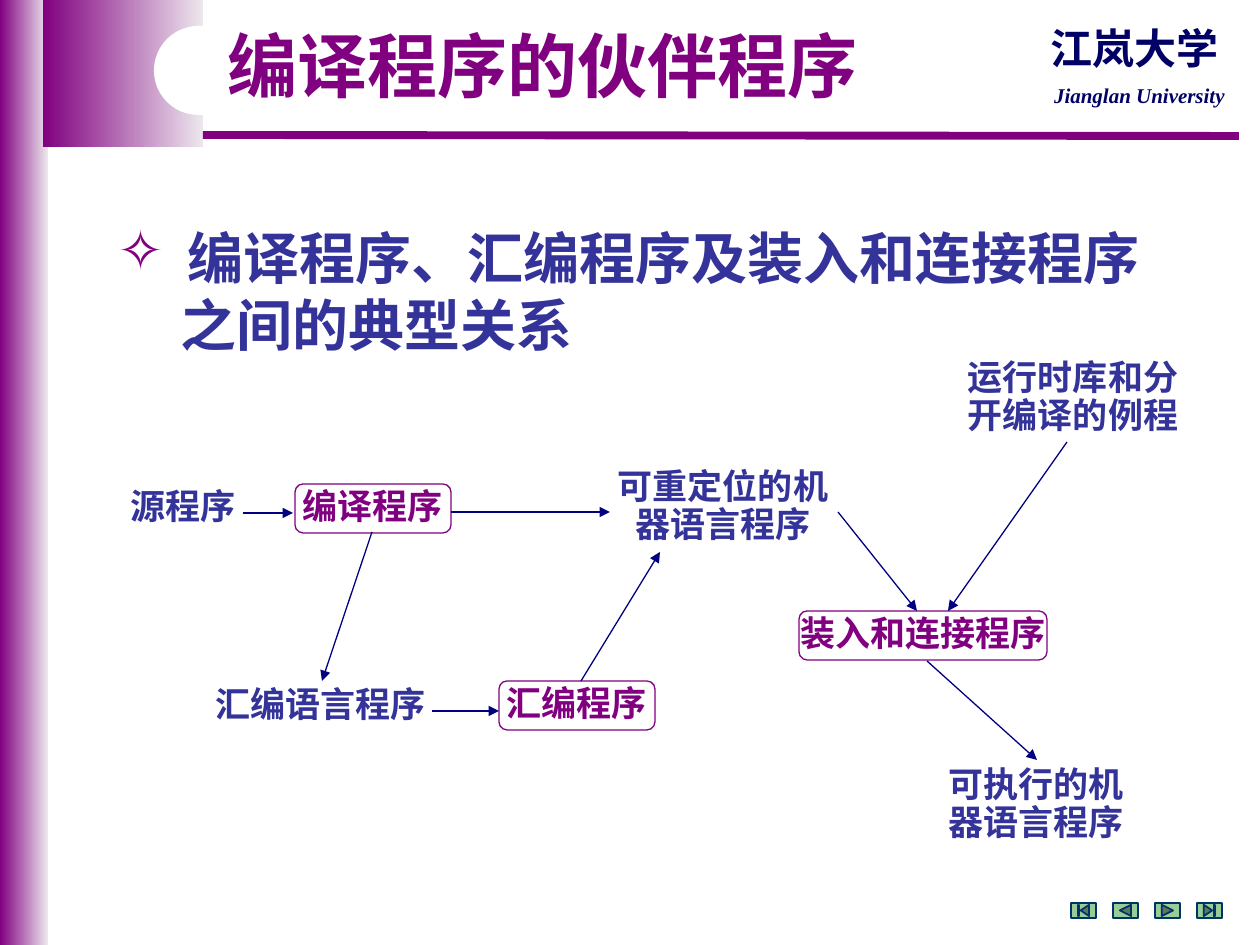
import pptx
import pptx.util
import pptx.dml.color
import pptx.enum.shapes
import pptx.enum.text
import pptx.oxml
import pptx.oxml.ns
from lxml import etree

RGBColor = pptx.dml.color.RGBColor
SHAPE = pptx.enum.shapes.MSO_SHAPE
ANCHOR = pptx.enum.text.MSO_ANCHOR
AUTO_SIZE = pptx.enum.text.MSO_AUTO_SIZE
CENTER = pptx.enum.text.PP_ALIGN.CENTER

PURPLE = RGBColor(0x80, 0x00, 0x80)
PALE = RGBColor(0xED, 0xE7, 0xED)
WHITE = RGBColor(0xFF, 0xFF, 0xFF)
INDIGO = RGBColor(0x33, 0x33, 0x99)
NAVY = RGBColor(0x00, 0x00, 0x80)
CREST = RGBColor(0x00, 0x00, 0x66)
BUTTON_GREEN = RGBColor(0x99, 0xCC, 0x99)
BUTTON_EDGE = RGBColor(0x00, 0x33, 0x66)

PROGRAMS = [  # tools, drawn as outlined boxes
    ("编译程序", (295, 484, 156, 49)),
    ("装入和连接程序", (799, 611, 248, 49)),
    ("汇编程序", (499, 681, 156, 49)),
]
ARTIFACTS = [  # what the tools read and write: text, place, wrapping
    ("源程序", (105, 483, 156, 50), True),
    ("可重定位的机器语言程序", (600, 463, 246, 88), True),
    ("汇编语言程序", (202, 681, 237, 50), False),
    ("可执行的机器语言程序", (927, 761, 218, 88), True),
    ("运行时库和分开编译的例程", (950, 354, 246, 88), True),
]
FLOWS = [
    ((243, 513), (293, 513)),
    ((432, 711), (499, 711)),
    ((372, 532), (322, 681)),
    ((451, 512), (610, 512)),
    ((581, 681), (660, 552)),
    ((838, 512), (917, 611)),
    ((927, 661), (1037, 760)),
    ((1067, 442), (948, 611)),
]
BUTTONS = [SHAPE.ACTION_BUTTON_BEGINNING, SHAPE.ACTION_BUTTON_BACK_OR_PREVIOUS,
           SHAPE.ACTION_BUTTON_FORWARD_OR_NEXT, SHAPE.ACTION_BUTTON_END]


def px(pixels):
    """Turn pixels, 126 to the inch, into EMU."""
    return pptx.util.Emu(round(pixels * 914400 / 126))


def set_values(target, values):
    """Set each attribute named in a dict."""
    for name, value in values.items():
        setattr(target, name, value)


def add_panel(slide, kind, place, fill, edge=None, width=0.75):
    """Add a preset shape; a pair of fill colours makes a gradient."""
    panel = slide.shapes.add_shape(kind, *map(px, place))
    panel.shadow.inherit = False
    if isinstance(fill, list):
        panel.fill.gradient()
        panel.fill.gradient_angle = 0
        for stop, color in zip(panel.fill.gradient_stops, fill):
            stop.color.rgb = color
    else:
        panel.fill.solid()
        panel.fill.fore_color.rgb = fill
    if edge is None:
        panel.line.fill.background()
    else:
        panel.line.color.rgb = edge
        panel.line.width = pptx.util.Pt(width)
    return panel


def write(frame, lines, size, color, font="Arial", italic=False, spacing=0.9, align=CENTER):
    """Fill a text frame with bold paragraphs."""
    frame.text = "\n".join(lines)
    for paragraph in frame.paragraphs:
        set_values(paragraph, {"alignment": align, "line_spacing": spacing})
        run = paragraph.runs[0]
        set_values(run.font, {"name": font, "size": pptx.util.Pt(size),
                              "bold": True, "italic": italic})
        run.font.color.rgb = color


def add_label(slide, lines, place, size, color, wrap=True, **style):
    """Add a text box that grows with its text."""
    label = slide.shapes.add_textbox(*map(px, place))
    write(label.text_frame, lines, size, color, **style)
    set_values(label.text_frame, {"word_wrap": wrap, "auto_size": AUTO_SIZE.SHAPE_TO_FIT_TEXT})
    return label


def add_line(slide, start, end, color, width, arrow=False):
    """Add a straight line, with an arrowhead at its end if asked."""
    line = slide.shapes.add_connector(
        pptx.enum.shapes.MSO_CONNECTOR.STRAIGHT, *map(px, start + end))
    line.line.color.rgb = color
    line.line.width = pptx.util.Pt(width)
    qn = pptx.oxml.ns.qn
    properties = line._element.spPr
    if arrow:
        etree.SubElement(properties.find(qn("a:ln")), qn("a:tailEnd"), type="triangle")
    etree.SubElement(properties, qn("a:effectLst"))


def add_frame(slide):
    """Draw the purple bands, the rule and the university's name."""
    add_panel(slide, SHAPE.RECTANGLE, (0, 0, 48, 945), [PURPLE, PALE])
    add_panel(slide, SHAPE.RECTANGLE, (43, 0, 160, 147), [PURPLE, PALE])
    add_line(slide, (203, 135), (1239, 136), PURPLE, 4.5)
    tab = add_panel(slide, SHAPE.ROUNDED_RECTANGLE, (154, 26, 456, 89), WHITE)
    tab.adjustments[0] = 0.5
    add_label(slide, ["Jianglan University"], (1037, 76, 205, 38), 12, CREST, wrap=False,
              font="Times New Roman", italic=True, spacing=1)
    add_label(slide, ["江岚大学"], (1037, 16, 195, 63), 24, CREST, wrap=False,
              font="Noto Sans CJK SC", spacing=1)


def add_topic(slide):
    """Write the bulleted topic and its indented second line."""
    topic = add_label(slide, ["编译程序、汇编程序及装入和连接程序", "之间的典型关系"],
                      (105, 217, 1111, 147), 32, INDIGO, spacing=1, align=None)
    qn = pptx.oxml.ns.qn
    for paragraph, margin, hanging in zip(topic.text_frame.paragraphs, (70, 63), (70, 0)):
        properties = paragraph._p.get_or_add_pPr()
        properties.set("marL", str(px(margin)))
        properties.set("indent", str(-px(hanging)))
    bulleted = topic.text_frame.paragraphs[0]._p.pPr
    bullet_color = etree.SubElement(bulleted, qn("a:buClr"))
    etree.SubElement(bullet_color, qn("a:srgbClr"), val=str(PURPLE))
    etree.SubElement(bulleted, qn("a:buChar"), char="✧")


def add_diagram(slide):
    """Draw the programs, what passes between them, and the arrows."""
    for name, place in PROGRAMS:
        program = add_panel(slide, SHAPE.ROUNDED_RECTANGLE, place, WHITE, PURPLE)
        write(program.text_frame, [name], 20, PURPLE)
        set_values(program.text_frame, {"word_wrap": False, "vertical_anchor": ANCHOR.MIDDLE})
    for name, place, wrap in ARTIFACTS:
        add_label(slide, [name], place, 20, INDIGO, wrap)
    for start, end in FLOWS:
        add_line(slide, start, end, NAVY, 0.75, arrow=True)


def add_title(slide):
    """Format the title and bring it in front of the white tab."""
    title = slide.shapes.title
    set_values(title, dict(zip(("left", "top", "width", "height"), map(px, (208, 26, 669, 88)))))
    write(title.text_frame, ["编译程序的伙伴程序"], 40, PURPLE)
    set_values(title.text_frame, {"word_wrap": True, "vertical_anchor": ANCHOR.TOP,
                                  "auto_size": AUTO_SIZE.SHAPE_TO_FIT_TEXT})
    slide.shapes._spTree.append(title._element)


def main():
    """Build the slide and save it."""
    deck = pptx.Presentation()
    set_values(deck, {"slide_width": px(1260), "slide_height": px(945)})
    slide = deck.slides.add_slide(deck.slide_layouts[5])
    add_frame(slide)
    for index, kind in enumerate(BUTTONS):
        add_panel(slide, kind, (1071 + 42 * index, 903, 25, 15), BUTTON_GREEN, BUTTON_EDGE, 1)
    add_topic(slide)
    add_diagram(slide)
    add_title(slide)
    deck.save("out.pptx")


main()
